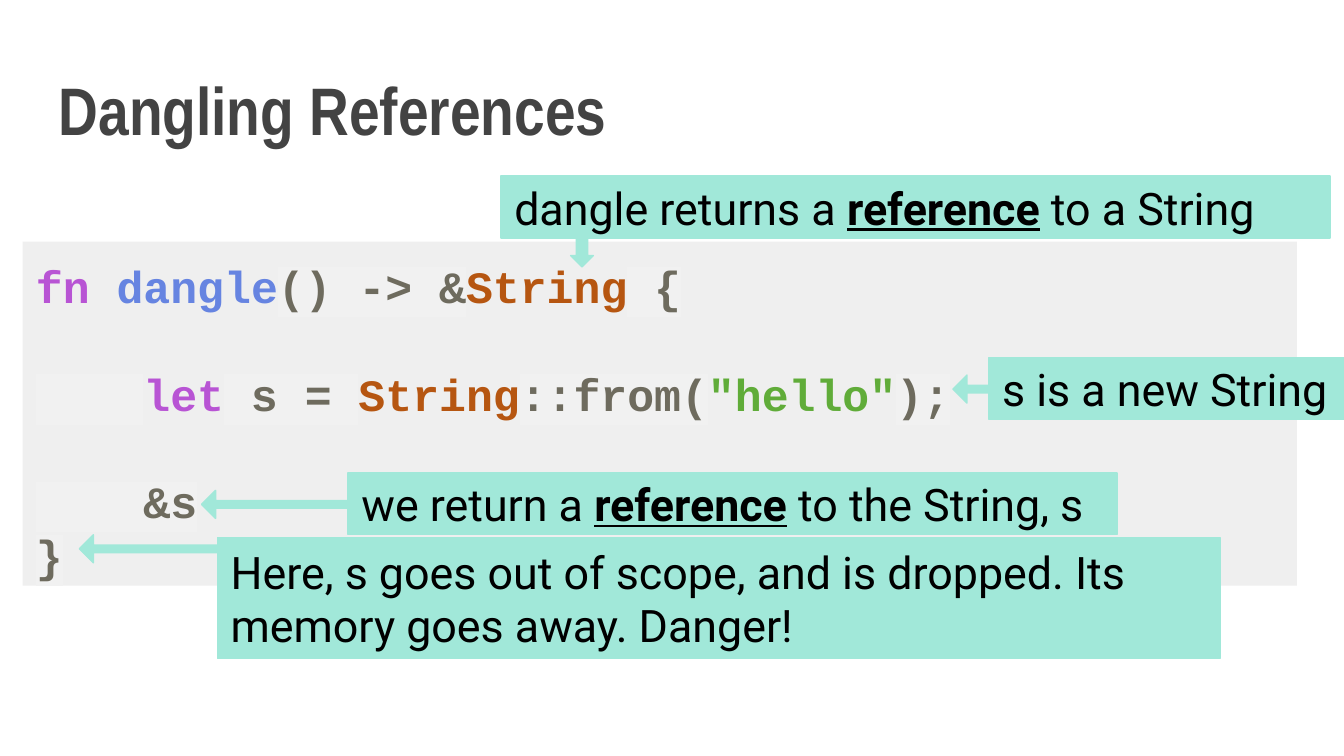
from dataclasses import dataclass

from lxml import etree
from pptx import Presentation, util as u
from pptx.dml.color import RGBColor
from pptx.enum import shapes, text
from pptx.oxml import ns


@dataclass(frozen=True)
class Theme:
    panel: str = "EFEFEF"
    highlight: str = "F1F1F1"
    note: str = "A1E8D9"
    ink: str = "000000"
    heading: str = "434343"
    keyword: str = "B854D4"
    function: str = "6684E1"
    plain: str = "6E6B5E"
    type_name: str = "B65611"
    literal: str = "60AC39"
    title_size: int = 36
    body_size: int = 24
    code_pitch: float = 28.8
    title_font: str = "Arial Narrow"
    code_font: str = "Courier New"
    note_font: str = "Roboto"


THEME = Theme()

# Each line: space before in line pitches, then (text, colour) spans
CODE = [
    (0, [("fn ", THEME.keyword), ("dangle", THEME.function),
         ("() -> &", THEME.plain), ("String", THEME.type_name),
         (" {", THEME.plain)]),
    (1, [("    ", THEME.plain), ("let", THEME.keyword), (" s = ", THEME.plain),
         ("String", THEME.type_name), ("::from(", THEME.plain),
         ('"hello"', THEME.literal), (");", THEME.plain)]),
    (1, [("    &s", THEME.plain)]),
    (0, [("}", THEME.plain)]),
]

# Boxes are left, top, width, height in centimetres; *word* marks emphasis
NOTES = [
    ((4.11, 10.16, 18.95, 2.29),
     "Here, s goes out of scope, and is dropped. Its memory goes away. Danger!"),
    ((9.47, 3.33, 15.67, 1.17), "dangle returns a *reference* to a String"),
    ((6.58, 8.94, 14.53, 1.17), "we return a *reference* to the String, s"),
    ((18.69, 6.76, 6.76, 1.17), "s is a new String"),
]

# Box, shaft thickness, rotation
ARROWS = [
    ((18.01, 7.09, 0.69, 0.53), 0.27, 0),
    ((3.81, 9.27, 2.77, 0.53), 0.27, 0),
    ((1.5, 10.11, 2.77, 0.53), 0.27, 0),
    ((10.72, 4.55, 0.56, 0.43), 0.5, 270),
]


def to_cm(box):
    return [u.Cm(length) for length in box]


def colour(value):
    return RGBColor.from_string(value)


def set_font(para, name, size, ink=None, bold=False):
    font = para.font
    font.name, font.size, font.bold = name, u.Pt(size), bold
    if ink:
        font.color.rgb = colour(ink)


def prepare_frame(shape, anchor, top_inset=0.25):
    frame = shape.text_frame
    frame.word_wrap = True
    frame.vertical_anchor = anchor
    frame.margin_left = frame.margin_right = frame.margin_bottom = u.Cm(0.25)
    frame.margin_top = u.Cm(top_inset)
    return frame


def add_filled(page, kind, box, fill, outlined=True):
    shape = page.shapes.add_shape(kind, *to_cm(box))
    shape.shadow.inherit = False
    shape.fill.solid()
    shape.fill.fore_color.rgb = colour(fill)
    if outlined:
        shape.line.color.rgb = colour(fill)
        shape.line.width = u.Pt(0.75)
    else:
        shape.line.fill.background()
    return shape


def add_highlight(span, value):
    mark = etree.SubElement(span.font.fill._xPr, ns.qn("a:highlight"))
    etree.SubElement(mark, ns.qn("a:srgbClr"), val=value)


def add_title(page, box, wording):
    shape = page.shapes.add_textbox(*to_cm(box))
    para = prepare_frame(shape, text.MSO_ANCHOR.TOP, 0.33).paragraphs[0]
    para.text = wording
    set_font(para, THEME.title_font, THEME.title_size, THEME.heading, True)


def add_code(page, box, lines):
    panel = add_filled(page, shapes.MSO_SHAPE.RECTANGLE, box, THEME.panel, False)
    frame = prepare_frame(panel, text.MSO_ANCHOR.TOP, 0.33)
    for index, (gap, spans) in enumerate(lines):
        para = frame.add_paragraph() if index else frame.paragraphs[0]
        para.alignment = text.PP_ALIGN.LEFT
        para.line_spacing = u.Pt(THEME.code_pitch)
        para.space_before = u.Pt(gap * THEME.code_pitch)
        set_font(para, THEME.code_font, THEME.body_size, bold=True)
        for wording, ink in spans:
            span = para.add_run()
            span.text = wording
            span.font.color.rgb = colour(ink)
            if ink == THEME.plain:
                add_highlight(span, THEME.highlight)


def add_note(page, box, wording):
    shape = add_filled(page, shapes.MSO_SHAPE.RECTANGLE, box, THEME.note)
    para = prepare_frame(shape, text.MSO_ANCHOR.MIDDLE).paragraphs[0]
    para.alignment = text.PP_ALIGN.LEFT
    set_font(para, THEME.note_font, THEME.body_size, THEME.ink)
    for index, part in enumerate(wording.split("*")):
        span = para.add_run()
        span.text = part
        span.font.color.rgb = colour(THEME.ink)
        if index % 2:
            span.font.bold = span.font.underline = True


def add_arrow(page, box, shaft, rotation):
    arrow = add_filled(page, shapes.MSO_SHAPE.LEFT_ARROW, box, THEME.note)
    arrow.adjustments[0] = shaft
    arrow.adjustments[1] = 0.5
    arrow.rotation = rotation


def main():
    deck = Presentation()
    deck.slide_width, deck.slide_height = to_cm((25.4, 14.29))
    page = deck.slides.add_slide(deck.slide_layouts[6])
    add_code(page, (0.43, 4.57, 24.08, 6.5), CODE)
    add_title(page, (0.86, 0.97, 23.67, 1.73), "Dangling References")
    for box, wording in NOTES:
        add_note(page, box, wording)
    for box, shaft, rotation in ARROWS:
        add_arrow(page, box, shaft, rotation)
    deck.save("out.pptx")


if __name__ == "__main__":
    main()
